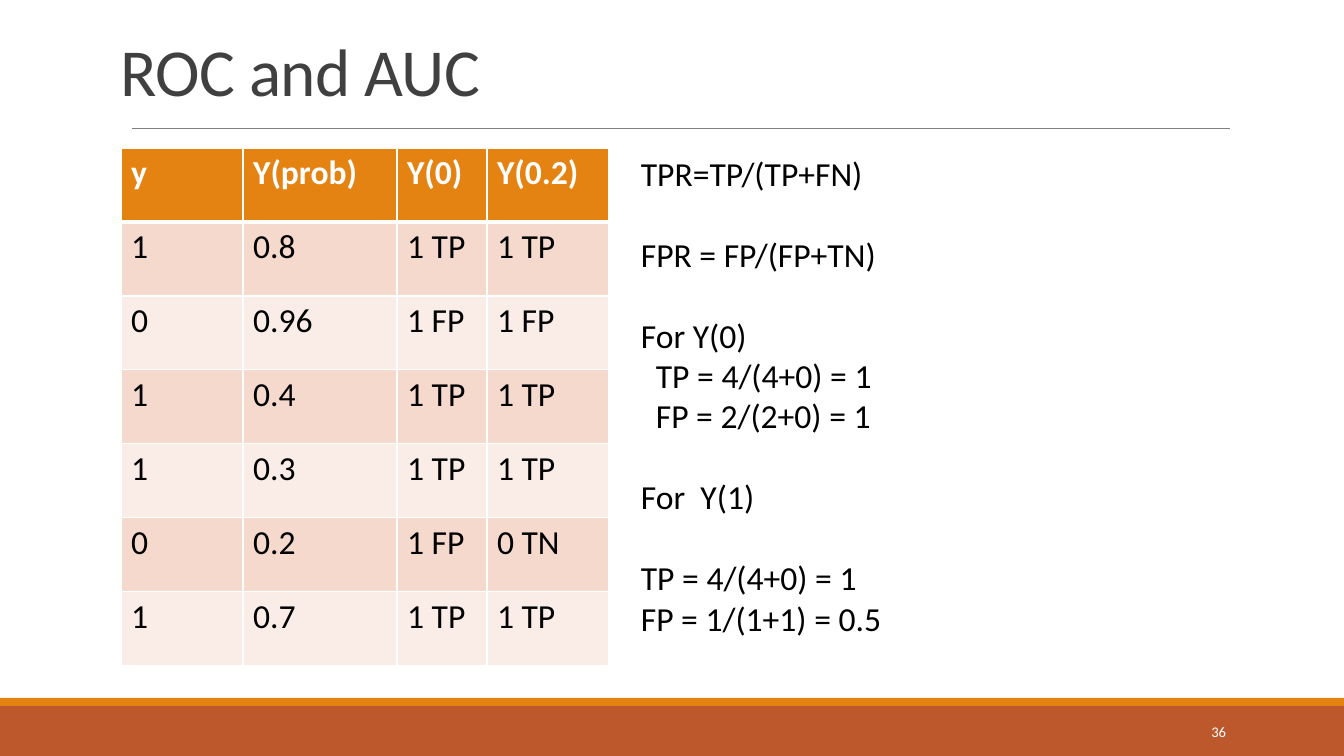
from lxml.etree import SubElement
from pptx import Presentation
from pptx.dml.color import RGBColor
from pptx.enum.shapes import MSO_CONNECTOR, MSO_SHAPE
from pptx.enum.text import MSO_ANCHOR as Anchor, PP_ALIGN as Align
from pptx.oxml.ns import qn
from pptx.util import Pt

TITLE = "ROC and AUC"
PAGE_NUMBER = "36"
PREDICTIONS = [
    ("y", "Y(prob)", "Y(0)", "Y(0.2)"),
    ("1", "0.8", "1 TP", "1 TP"),
    ("0", "0.96", "1 FP", "1 FP"),
    ("1", "0.4", "1 TP", "1 TP"),
    ("1", "0.3", "1 TP", "1 TP"),
    ("0", "0.2", "1 FP", "0 TN"),
    ("1", "0.7", "1 TP", "1 TP"),
]
RATE_GROUPS = [
    [("TPR=TP/(TP+FN)", 0)],
    [("FPR = FP/(FP+TN)", 0)],
    [("For Y(0)", 0), ("TP = 4/(4+0) = 1", 1), ("FP = 2/(2+0) = 1", 1)],
    [("For  Y(1)", 0)],
    [("TP = 4/(4+0) = 1", 0), ("FP = 1/(1+1) = 0.5", 0)],
]

WHITE = RGBColor(0xFF, 0xFF, 0xFF)
BLACK = RGBColor(0, 0, 0)
DARK_GRAY = RGBColor(0x40, 0x40, 0x40)
RULE_GRAY = RGBColor(0x80, 0x80, 0x80)
ORANGE = RGBColor(0xE4, 0x83, 0x12)
RUST = RGBColor(0xBD, 0x58, 0x2C)
BANDS = (RGBColor(0xFA, 0xED, 0xE7), RGBColor(0xF5, 0xD9, 0xCC))

FONT = "Calibri"
BODY_SIZE = 24
BLANK_LINE = Pt(29)
WIDTH, HEIGHT = 1344, 756
CONTENT_TOP = 148
COLUMN_WIDTHS = (122, 154, 90, 122)
ROW_HEIGHT = 74
INDENT = 15


def px(length):
    return round(length * 914400 / 100.8)


def style(paragraph, size, color, bold=False):
    for run in paragraph.runs:
        font = run.font
        font.name, font.size, font.bold = FONT, Pt(size), bold
        font.color.rgb = color


def add_text_frame(box, anchor=Anchor.TOP):
    frame = slide.shapes.add_textbox(*map(px, box)).text_frame
    frame.word_wrap = True
    frame.vertical_anchor = anchor
    return frame


def add_border(cell, side, points):
    line = SubElement(cell._tc.get_or_add_tcPr(), qn(f"a:ln{side}"), w=str(Pt(points)))
    SubElement(SubElement(line, qn("a:solidFill")), qn("a:srgbClr"), val=str(WHITE))


prs = Presentation()
prs.slide_width, prs.slide_height = px(WIDTH), px(HEIGHT)
slide = prs.slides.add_slide(prs.slide_layouts[6])

for top, height, color in ((706, 50, RUST), (698, 8, ORANGE)):
    band = slide.shapes.add_shape(MSO_SHAPE.RECTANGLE, *map(px, (0, top, WIDTH, height)))
    band.shadow.inherit = False
    band.fill.solid()
    band.fill.fore_color.rgb = color
    band.line.fill.background()

rule = slide.shapes.add_connector(MSO_CONNECTOR.STRAIGHT, *map(px, (132, 128, 1230, 128)))
rule.line.color.rgb = RULE_GRAY
rule.line.width = Pt(0.5)
SubElement(rule._element.spPr, qn("a:effectLst"))

heading = add_text_frame((111, 6, 1109, 109), Anchor.BOTTOM).paragraphs[0]
heading.text = TITLE
heading.line_spacing = 0.85
style(heading, 48, DARK_GRAY)
heading.runs[0].font._element.set("spc", "-50")

table = slide.shapes.add_table(
    len(PREDICTIONS), len(COLUMN_WIDTHS), px(121), px(CONTENT_TOP),
    px(sum(COLUMN_WIDTHS)), px(ROW_HEIGHT * len(PREDICTIONS))).table
for column, width in zip(table.columns, COLUMN_WIDTHS):
    column.width = px(width)
for r, values in enumerate(PREDICTIONS):
    table.rows[r].height = px(ROW_HEIGHT)
    header = r == 0
    for c, value in enumerate(values):
        cell = table.cell(r, c)
        cell.text = value
        style(cell.text_frame.paragraphs[0], BODY_SIZE, WHITE if header else BLACK, header)
        for side, points in (("L", 1), ("R", 1), ("T", 3 if r == 1 else 1), ("B", 3 if header else 1)):
            add_border(cell, side, points)
        cell.fill.solid()
        cell.fill.fore_color.rgb = ORANGE if header else BANDS[r % 2]

number = add_text_frame((1092, 712, 144, 40), Anchor.MIDDLE).paragraphs[0]
number.text = PAGE_NUMBER
number.alignment = Align.RIGHT
style(number, 10.5, WHITE)

rates = add_text_frame((631, CONTENT_TOP, 374, 499))
for g, group in enumerate(RATE_GROUPS):
    for i, (text, level) in enumerate(group):
        formula = rates.add_paragraph() if g or i else rates.paragraphs[0]
        formula.text = text
        if g and i == 0:
            formula.space_before = BLANK_LINE
        if level:
            formula._p.get_or_add_pPr().set("marL", str(px(INDENT * level)))
        style(formula, BODY_SIZE, BLACK)

prs.save("out.pptx")
